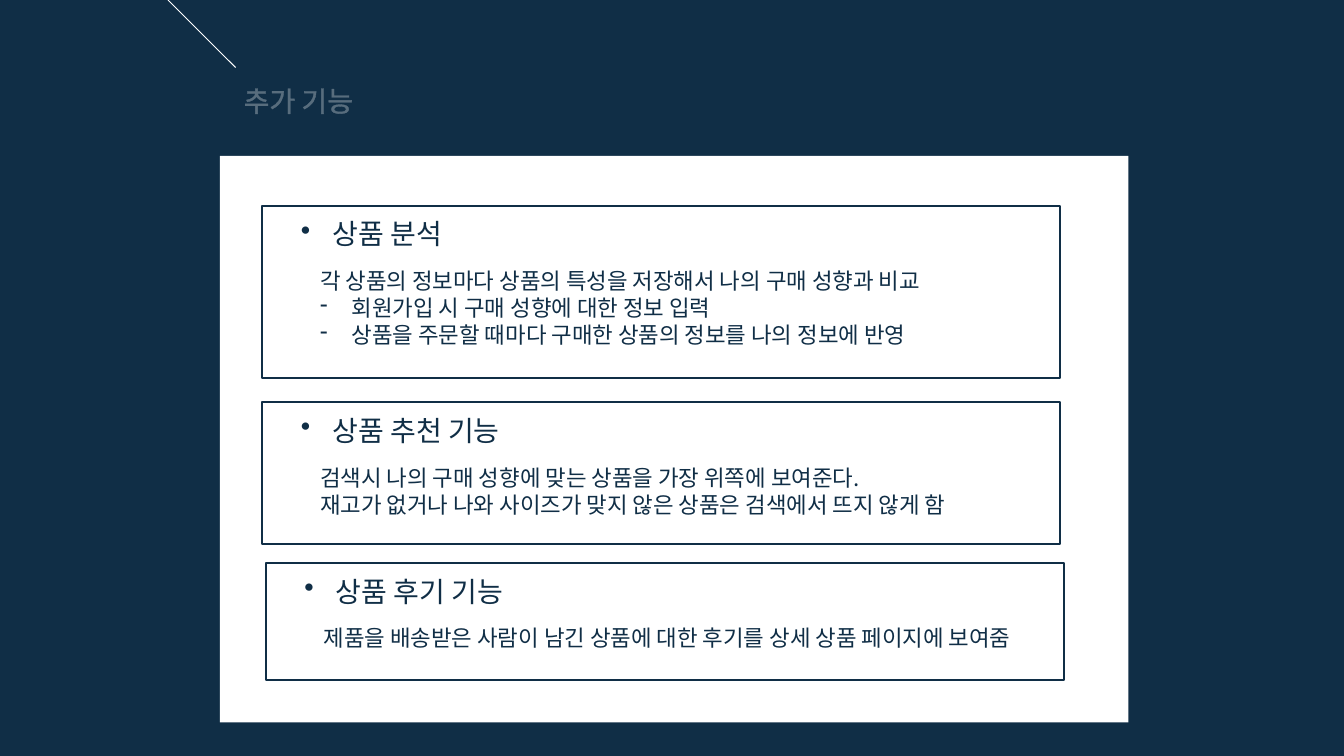
from dataclasses import dataclass

from lxml.etree import SubElement
from pptx import Presentation
from pptx.dml.color import RGBColor
from pptx.enum.shapes import MSO_CONNECTOR, MSO_SHAPE
from pptx.enum.text import MSO_AUTO_SIZE
from pptx.oxml.ns import qn
from pptx.util import Pt


@dataclass(frozen=True)
class Theme:
    navy: str = "102E46"
    white: str = "FFFFFF"
    font: str = "Noto Sans CJK KR"
    head: int = 20
    body: int = 16


THEME = Theme()
INDENT = 22.5

# left, top, height, heading width, body width, heading, body lines as (bullet, text)
PANELS = [
    (187.2, 146.9, 123.1, 139, 528, "상품 분석", [
        ("", "각 상품의 정보마다 상품의 특성을 저장해서 나의 구매 성향과 비교"),
        ("-", "회원가입 시 구매 성향에 대한 정보 입력"),
        ("-", "상품을 주문할 때마다 구매한 상품의 정보를 나의 정보에 반영"),
    ]),
    (187.2, 287.3, 101.5, 209.5, 528, "상품 추천 기능", [
        ("", "검색시 나의 구매 성향에 맞는 상품을 가장 위쪽에 보여준다."),
        ("", "재고가 없거나 나와 사이즈가 맞지 않은 상품은 검색에서 뜨지 않게 함"),
    ]),
    (189.7, 402, 83.5, 162, 545, "상품 후기 기능", [
        ("", "제품을 배송받은 사람이 남긴 상품에 대한 후기를 상세 상품 페이지에 보여줌"),
    ]),
]


def add_rect(slide, left, top, width, height, fill=None, line=None):
    rect = slide.shapes.add_shape(
        MSO_SHAPE.RECTANGLE, Pt(left), Pt(top), Pt(width), Pt(height))
    rect.shadow.inherit = False
    if fill:
        rect.fill.solid()
        rect.fill.fore_color.rgb = RGBColor.from_string(fill)
    else:
        rect.fill.background()
    if line:
        rect.line.color.rgb = RGBColor.from_string(line)
        rect.line.width = Pt(1.5)
    else:
        rect.line.fill.background()


def add_line(slide, x1, y1, x2, y2, color):
    line = slide.shapes.add_connector(
        MSO_CONNECTOR.STRAIGHT, Pt(x1), Pt(y1), Pt(x2), Pt(y2))
    line.line.color.rgb = RGBColor.from_string(color)
    line.line.width = Pt(0.75)
    SubElement(line._element.spPr, qn("a:effectLst"))


def set_bullet(para, mark):
    props = para._p.get_or_add_pPr()
    props.set("marL", str(Pt(INDENT)))
    props.set("indent", str(-Pt(INDENT)))
    SubElement(props, qn("a:buChar"), char=mark)


def style_run(run, size, color):
    """Set font and colour, with a thin outline at 30% opacity."""
    run.font.size = Pt(size)
    run.font.name = THEME.font
    run.font.color.rgb = RGBColor.from_string(color)
    props = run._r.get_or_add_rPr()
    SubElement(props, qn("a:ea"), typeface=THEME.font)
    edge = SubElement(props, qn("a:ln"), w=str(Pt(0.75)))
    fill = SubElement(edge, qn("a:solidFill"))
    tint = SubElement(fill, qn("a:srgbClr"), val=color)
    SubElement(tint, qn("a:alpha"), val="30000")
    props.insert(0, edge)


def add_text(slide, left, top, width, lines, size, color, wrap=True):
    height = 7.2 + 1.22 * size * len(lines)
    box = slide.shapes.add_textbox(Pt(left), Pt(top), Pt(width), Pt(height))
    frame = box.text_frame
    frame.word_wrap = wrap
    frame.auto_size = MSO_AUTO_SIZE.SHAPE_TO_FIT_TEXT
    for i, (mark, text) in enumerate(lines):
        para = frame.add_paragraph() if i else frame.paragraphs[0]
        if mark:
            set_bullet(para, mark)
        run = para.add_run()
        run.text = text
        style_run(run, size, color)


def add_panel(slide, left, top, height, head_w, body_w, head, body):
    add_rect(slide, left, top, 570.2, height, line=THEME.navy)
    add_text(slide, left + 20.7, top + 4.5, head_w, [("•", head)],
             THEME.head, THEME.navy)
    add_text(slide, left + 34.4, top + 40.5, body_w, body,
             THEME.body, THEME.navy)


def main():
    deck = Presentation()
    deck.slide_width, deck.slide_height = Pt(960), Pt(540)
    slide = deck.slides.add_slide(deck.slide_layouts[6])
    add_rect(slide, -13, -8, 975, 556, fill=THEME.navy)
    add_rect(slide, 157, 111.4, 649, 404.6, fill=THEME.white)
    add_line(slide, 120, 0, 168.3, 48.3, THEME.white)
    add_text(slide, 167, 56.2, 95.8, [("", "추가 기능")],
             THEME.head, THEME.white, wrap=False)
    for panel in PANELS:
        add_panel(slide, *panel)
    deck.save("out.pptx")


if __name__ == "__main__":
    main()
